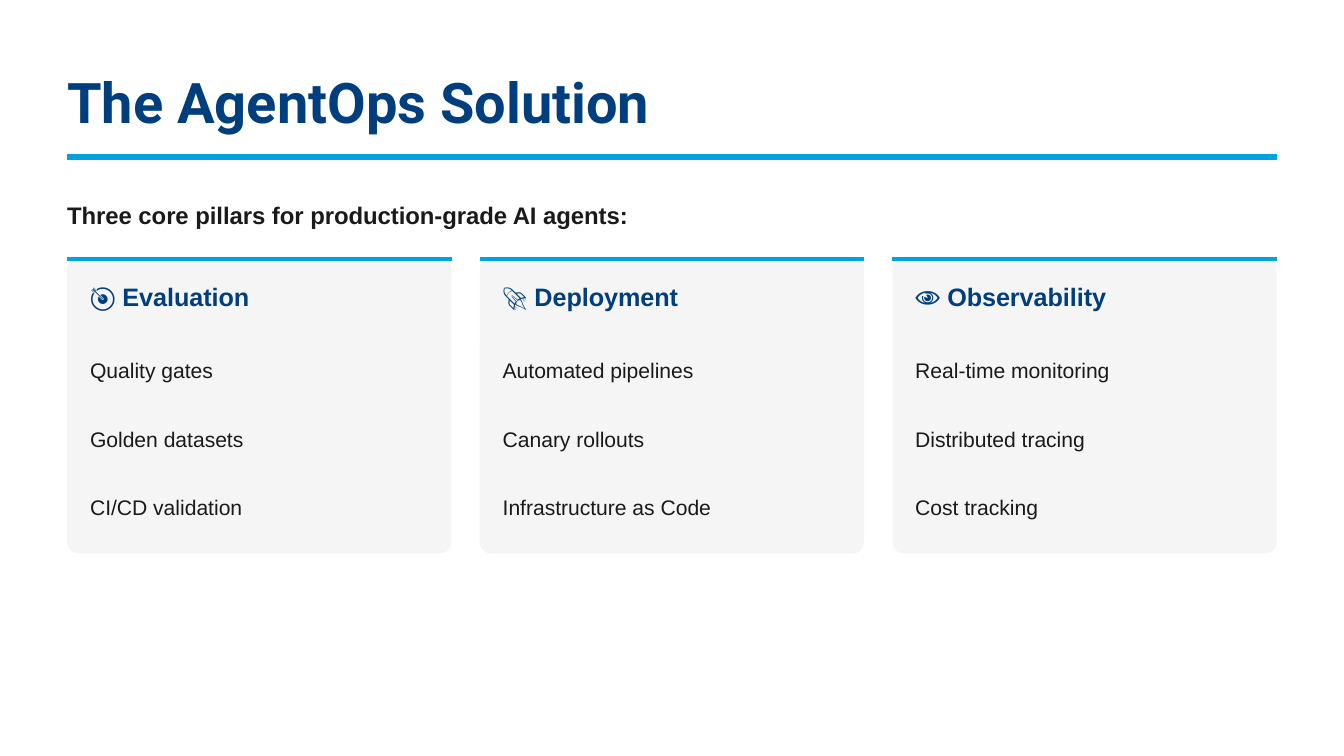
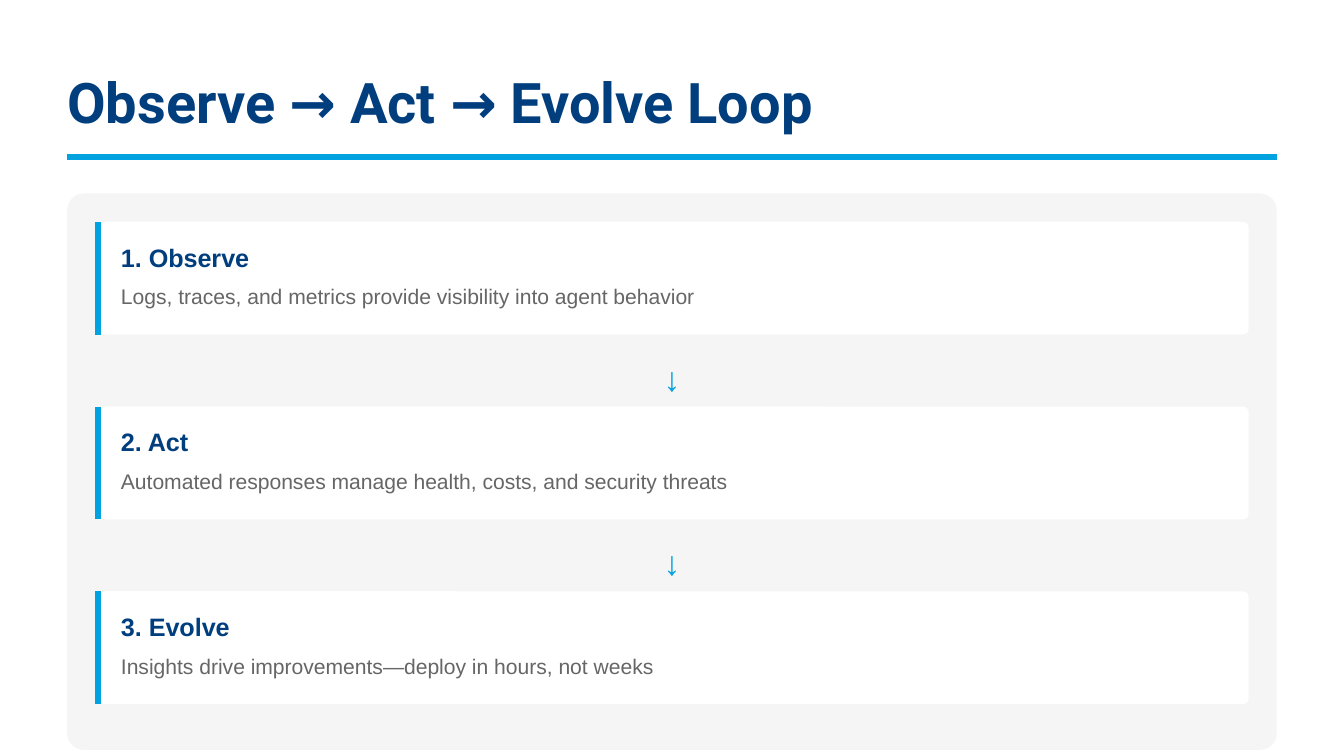
from dataclasses import dataclass
from pptx import Presentation
from pptx.dml.color import RGBColor as RGB
from pptx.enum.shapes import MSO_CONNECTOR as Link, MSO_SHAPE as Form
from pptx.enum.text import MSO_ANCHOR as Anchor, MSO_AUTO_SIZE as Fit, PP_ALIGN as Align
from pptx.oxml.ns import qn
from pptx.util import Inches as In, Pt


@dataclass(frozen=True)
class Theme:
    navy: str = "003E7E"
    sky: str = "00A3E0"
    ink: str = "1A1A1A"
    gray: str = "666666"
    pale: str = "F5F5F5"
    white: str = "FFFFFF"
    title: float = 30
    arrow: float = 18
    head: float = 13.5
    lead: float = 12.75
    body: float = 11.25


look = Theme()


def write(slide, text, x, y, w, h, box=None, size=look.body, font="Arial",
          color=look.ink, bold=False, align=Align.LEFT, line=15.75, before=0, after=0):
    box = box or slide.shapes.add_textbox(0, 0, 0, 0)
    box.left, box.top, box.width, box.height = In(x), In(y), In(w), In(h)
    frame = box.text_frame
    frame.text = text
    frame.word_wrap = True
    frame.auto_size = Fit.NONE
    frame.vertical_anchor = Anchor.TOP
    frame.margin_left = frame.margin_right = frame.margin_top = frame.margin_bottom = 0
    para = frame.paragraphs[0]
    para.alignment = align
    para.line_spacing, para.space_before, para.space_after = Pt(line), Pt(before), Pt(after)
    face = para.runs[0].font
    face.name, face.size, face.bold = font, Pt(size), bold
    face.color.rgb = RGB.from_string(color)


def draw(slide, x, y, w, h, fill=None, curve=0, weight=3):
    if fill:
        card = slide.shapes.add_shape(Form.ROUNDED_RECTANGLE, In(x), In(y), In(w), In(h))
        card.adjustments[0] = curve
        card.shadow.inherit = False
        card.fill.solid()
        card.fill.fore_color.rgb = RGB.from_string(fill)
        card.line.fill.background()
    else:
        rule = slide.shapes.add_connector(Link.STRAIGHT, In(x), In(y), In(x + w), In(y + h))
        rule.line.color.rgb = RGB.from_string(look.sky)
        rule.line.width = Pt(weight)
        props = rule._element.spPr
        props.append(props.makeelement(qn("a:effectLst"), {}))


deck = Presentation()
deck.slide_width = In(10)
deck.slide_height = In(10 * 9 / 16)
edge, wide, top = 0.5, 9, 1.44

slides = []
for title, span in [("The AgentOps Solution", 5.51), ("Observe → Act → Evolve Loop", 6.95)]:
    slide = deck.slides.add_slide(deck.slide_layouts[5])
    draw(slide, edge, 1.17, wide, 0)
    write(slide, title, edge, 0.5, span, 0.5, box=slide.shapes.title, size=look.title,
          font="Roboto", color=look.navy, bold=True, line=36)
    slides.append(slide)
first, second = slides

write(first, "Three core pillars for production-grade AI agents:", edge, top, 9.18, 0.27,
      size=look.lead, bold=True, line=19.1, before=3, after=15)

pillars = [
    ("🎯 Evaluation", 1.3, ["Quality gates", "Golden datasets", "CI/CD validation"]),
    ("🚀 Deployment", 1.39, ["Automated pipelines", "Canary rollouts", "Infrastructure as Code"]),
    ("👁️ Observability", 1.51, ["Real-time monitoring", "Distributed tracing", "Cost tracking"]),
]
gap = 0.21
col = (wide - 2 * gap) / 3
for i, (head, span, items) in enumerate(pillars):
    x = edge + i * (col + gap)
    draw(first, x, 1.91, col, 2.21, fill=look.pale, curve=0.04)
    draw(first, x, 1.93, col, 0, weight=2.25)
    write(first, head, x + 0.17, 2.11, span, 0.21, size=look.head, color=look.navy,
          bold=True, line=15, after=7.5)
    for j, item in enumerate(items):
        write(first, item, x + 0.17, 2.63 + j * 0.51, 2.58, 0.22, before=3, after=6)

steps = [
    ("1. Observe", "Logs, traces, and metrics provide visibility into agent behavior"),
    ("2. Act", "Automated responses manage health, costs, and security threats"),
    ("3. Evolve", "Insights drive improvements—deploy in hours, not weeks"),
]
inset, tall = 0.21, 0.84
pitch = (4.4 - 1.65) / 2
draw(second, edge, top, wide, 4.14, fill=look.pale, curve=0.03)
for i, (head, note) in enumerate(steps):
    x, y = edge + inset, top + inset + i * pitch
    draw(second, x, y, wide - 2 * inset, tall, fill=look.white, curve=0.05)
    draw(second, x + 0.02, y, 0, tall)
    write(second, head, 0.9, y + 0.15, 8.41, 0.22, size=look.head, color=look.navy,
          bold=True, line=16.2, after=4.5)
    write(second, note, 0.9, y + 0.43, 8.41, 0.22, color=look.gray, before=3, after=3)
    if i < len(steps) - 1:
        write(second, "↓", 0.62, y + 0.96, 8.76, 0.35, size=look.arrow, color=look.sky,
              align=Align.CENTER, line=25.2, before=4.5, after=4.5)

deck.save("out.pptx")
